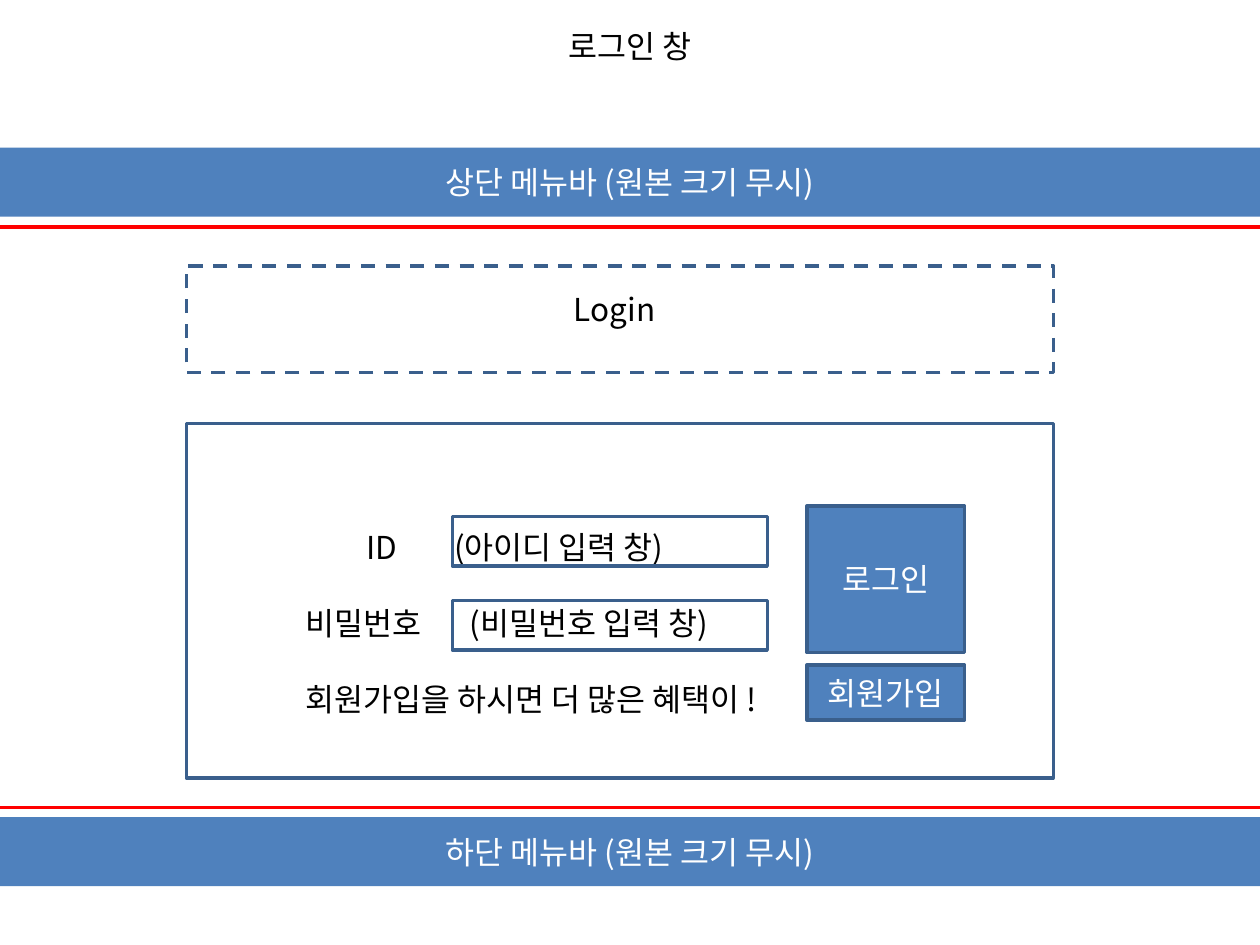
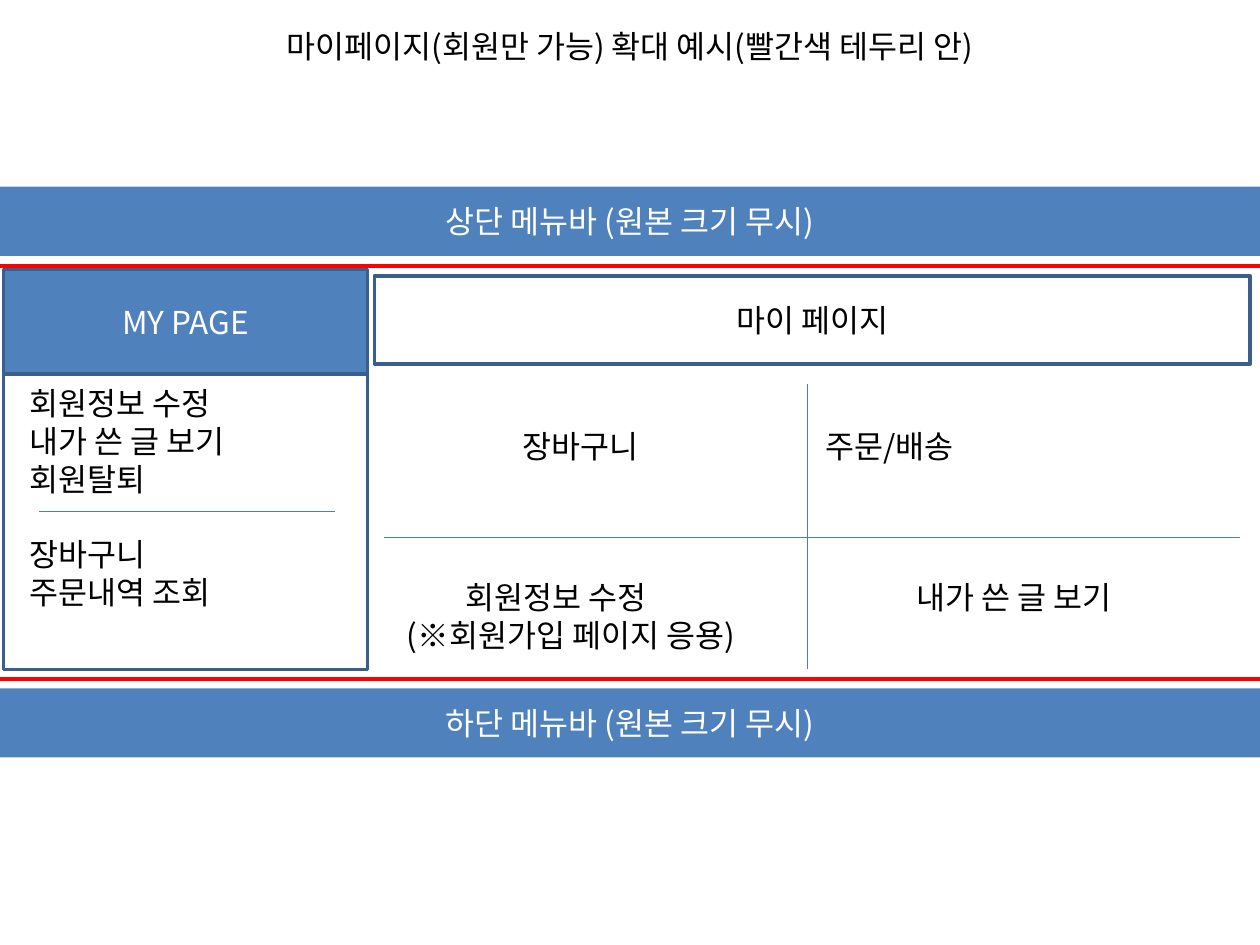
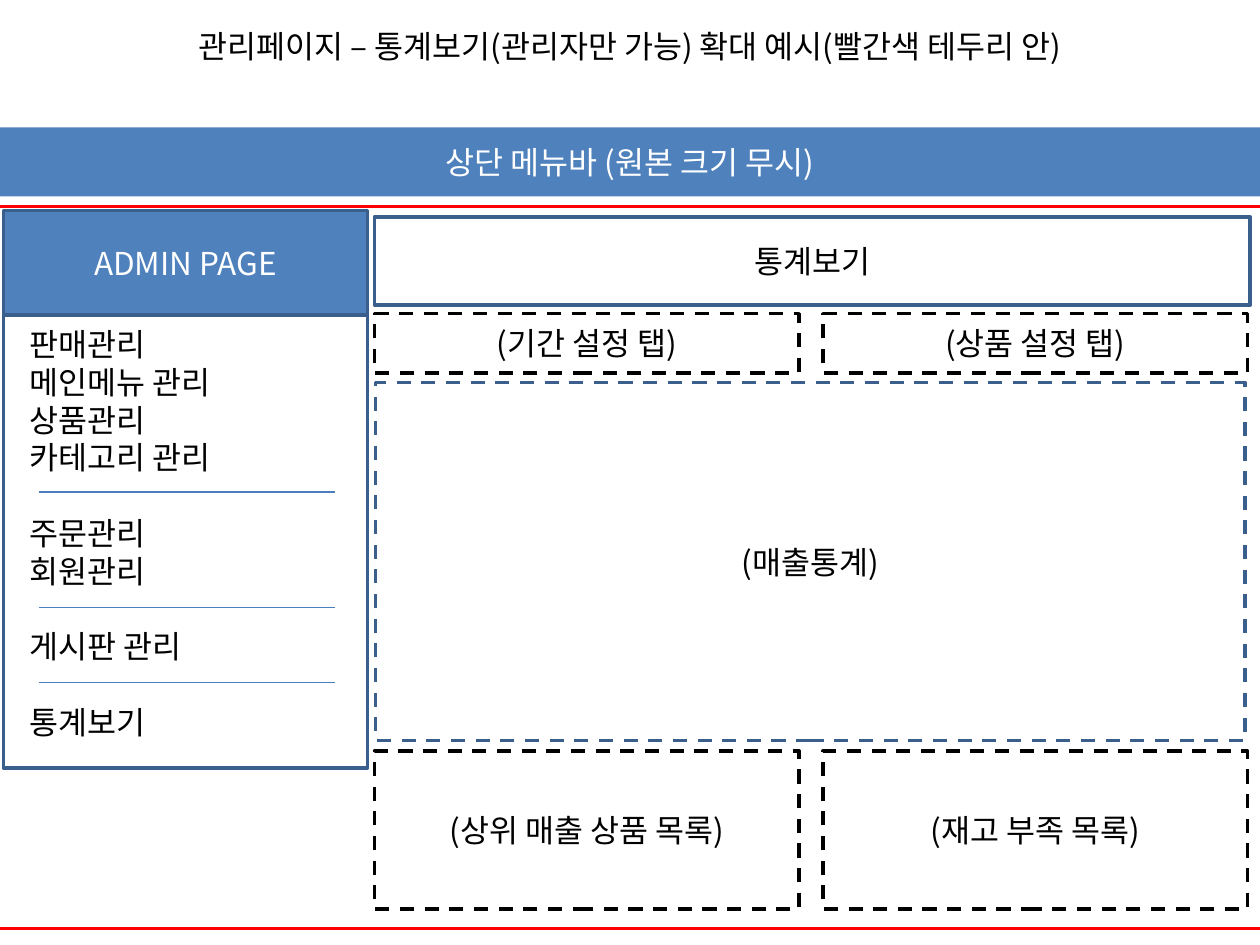
"""Builds three wireframe slides: login window, member page and statistics page."""
from lxml import etree
from pptx import Presentation
from pptx.dml.color import RGBColor
from pptx.enum import dml, shapes, text
from pptx.oxml.ns import qn
from pptx.util import Pt

FONT, SIZE, LINE = "Noto Sans CJK KR", 18, 21.6
BLUE, EDGE, RULE = "4F81BD", "3A5F8C", "4B7EBC"
RED, BLACK, WHITE = "FF0000", "000000", "FFFFFF"
WIDTH, HEIGHT = 720, 540
BAR_HEIGHT = 39.5


def color(value):
    return RGBColor.from_string(value)


class Wireframe:
    """Holds the shared style and the slide being drawn."""

    def __init__(self):
        self.deck = Presentation()
        self.deck.slide_width, self.deck.slide_height = Pt(WIDTH), Pt(HEIGHT)
        self.slide = None

    def new_slide(self, title):
        self.slide = self.deck.slides.add_slide(self.deck.slide_layouts[6])
        self.label(title, 0, 11.5, WIDTH, 29)

    def style(self, paragraph, ink):
        font = paragraph.font
        font.name, font.size = FONT, Pt(SIZE)
        font.color.rgb = color(ink)
        defaults = paragraph._p.pPr.find(qn("a:defRPr"))
        etree.SubElement(defaults, qn("a:ea")).set("typeface", FONT)

    def center(self, frame, words, ink):
        frame.word_wrap = True
        frame.vertical_anchor = text.MSO_ANCHOR.MIDDLE
        paragraph = frame.paragraphs[0]
        paragraph.text = words
        paragraph.alignment = text.PP_ALIGN.CENTER
        self.style(paragraph, ink)

    def lines(self, frame, rows, left, top):
        """Fills a frame with rows of (words, blank lines before, tab stops)."""
        frame.word_wrap = True
        frame.vertical_anchor = text.MSO_ANCHOR.TOP
        frame.margin_left, frame.margin_top = Pt(left), Pt(top)
        for index, (words, gap, stops) in enumerate(rows):
            paragraph = frame.add_paragraph() if index else frame.paragraphs[0]
            paragraph.text = words
            paragraph.alignment = text.PP_ALIGN.LEFT
            paragraph.line_spacing = Pt(LINE)
            if gap:
                paragraph.space_before = Pt(gap * LINE)
            if stops:
                tabs = etree.SubElement(paragraph._p.get_or_add_pPr(), qn("a:tabLst"))
                for stop in stops:
                    etree.SubElement(tabs, qn("a:tab"), pos=str(Pt(stop)), algn="l")
            self.style(paragraph, BLACK)

    def text_area(self, x, y, width, height):
        return self.slide.shapes.add_textbox(Pt(x), Pt(y), Pt(width), Pt(height)).text_frame

    def label(self, words, x, y, width, height):
        self.center(self.text_area(x, y, width, height), words, BLACK)

    def box(self, x, y, width, height, words="", fill=None, edge=EDGE, dashed=False):
        box = self.slide.shapes.add_shape(
            shapes.MSO_SHAPE.RECTANGLE, Pt(x), Pt(y), Pt(width), Pt(height))
        box.shadow.inherit = False
        if fill:
            box.fill.solid()
            box.fill.fore_color.rgb = color(fill)
        else:
            box.fill.background()
        if edge:
            box.line.color.rgb = color(edge)
            box.line.width = Pt(2)
        else:
            box.line.fill.background()
        if dashed:
            box.line.dash_style = dml.MSO_LINE.DASH
        if words:
            self.center(box.text_frame, words, WHITE if fill else BLACK)
        return box

    def rule(self, x1, y1, x2, y2):
        rule = self.slide.shapes.add_connector(
            shapes.MSO_CONNECTOR.STRAIGHT, Pt(x1), Pt(y1), Pt(x2), Pt(y2))
        rule.line.color.rgb = color(RULE)
        rule.line.width = Pt(0.75)
        etree.SubElement(rule._element.spPr, qn("a:effectLst"))

    def menu_bar(self, place, y):
        self.box(0, y, WIDTH, BAR_HEIGHT, f"{place} 메뉴바 (원본 크기 무시)", BLUE, None)

    def page_frame(self, top, bottom, footer=True):
        self.menu_bar("상단", top - 45.3)
        self.box(-16.5, top, WIDTH + 33.5, bottom - top, edge=RED)
        if footer:
            self.menu_bar("하단", bottom + 5.4)

    def sidebar(self, heading, groups, top, height, dividers):
        self.box(2, top, 208, 59.8, heading, BLUE)
        self.box(2, top, 208, height)
        rows = [(item, int(number > 0 and item == group[0]), ())
                for number, group in enumerate(groups) for item in group]
        self.lines(self.text_area(0, top + 59.8, 220, height - 72), rows, 17, 5.6)
        for y in dividers:
            self.rule(22.3, y, 191.5, y)

    def page_heading(self, words, top):
        self.box(214, top + 3.6, 500.4, 50.4, words)


def login_slide(page):
    page.new_slide("로그인 창")
    page.page_frame(129.6, 461.5)
    page.box(106.5, 152, 495.5, 61, dashed=True)
    page.label("Login", 218, 162, 266.5, 29)
    panel = page.box(106.5, 242, 495.5, 202.5)
    page.lines(panel.text_frame, [
        ("\tID\t(아이디 입력 창)", 0, (35, 85)),
        ("비밀번호\t(비밀번호 입력 창)", 1, (94,)),
        ("회원가입을 하시면 더 많은 혜택이 !", 1, ()),
    ], 68, 60)
    for field_top in (295.2, 343.2):
        page.box(258.5, field_top, 180, 28.3)
    page.box(461.2, 289.2, 90, 83.8, "로그인", BLUE)
    page.box(461.2, 380, 90, 31.5, "회원가입", BLUE)


def member_slide(page):
    page.new_slide("마이페이지(회원만 가능) 확대 예시(빨간색 테두리 안)")
    page.page_frame(152, 388)
    page.sidebar("MY PAGE", [
        ["회원정보 수정", "내가 쓴 글 보기", "회원탈퇴"],
        ["장바구니", "주문내역 조회"],
    ], 154, 228.5, [292.4])
    page.page_heading("마이 페이지", 154)
    page.lines(page.text_area(219.5, 238.3, 490, 138), [
        ("\t장바구니\t주문/배송", 0, (72, 245)),
        ("\t회원정보 수정\t내가 쓴 글 보기", 3, (39.5, 297)),
        ("\t(※회원가입 페이지 응용)", 0, (6,)),
    ], 7.2, 5.6)
    page.rule(219.5, 307.3, 708.7, 307.3)
    page.rule(461.3, 219.5, 461.3, 382.5)


def statistics_slide(page):
    page.new_slide("관리페이지 – 통계보기(관리자만 가능) 확대 예시(빨간색 테두리 안)")
    page.page_frame(118.1, 530.6, footer=False)
    page.sidebar("ADMIN PAGE", [
        ["판매관리", "메인메뉴 관리", "상품관리", "카테고리 관리"],
        ["주문관리", "회원관리"],
        ["게시판 관리"],
        ["통계보기"],
    ], 120.3, 318.5, [281.2, 347, 390.2])
    page.page_heading("통계보기", 120.3)
    page.box(214.6, 218.6, 496.8, 204.5, "(매출통계)", dashed=True)
    tiles = [
        (179.3, 33.8, ("(기간 설정 탭)", "(상품 설정 탭)")),
        (429, 90.5, ("(상위 매출 상품 목록)", "(재고 부족 목록)")),
    ]
    for top, height, names in tiles:
        for column, name in enumerate(names):
            page.box(214 + 256.3 * column, top, 242.5, height, name,
                     edge=BLACK, dashed=True)


def main():
    page = Wireframe()
    login_slide(page)
    member_slide(page)
    statistics_slide(page)
    page.deck.save("out.pptx")


if __name__ == "__main__":
    main()
